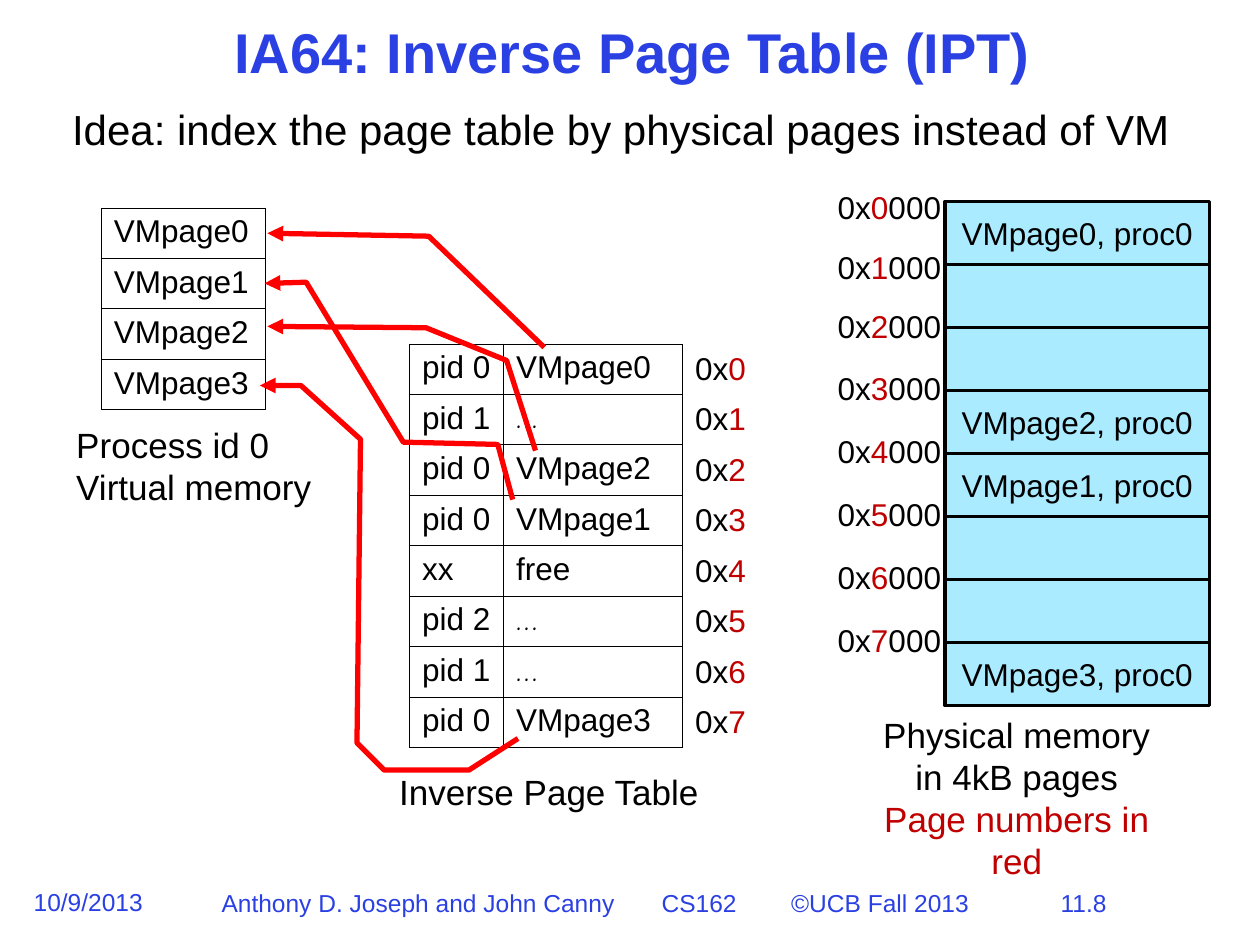
from pptx import Presentation
from pptx.dml.color import RGBColor
from pptx.enum.shapes import MSO_SHAPE
from pptx.enum.text import MSO_ANCHOR, MSO_AUTO_SIZE, PP_ALIGN
from pptx.oxml import parse_xml
from pptx.oxml.ns import nsdecls
from pptx.util import Pt

RECT = MSO_SHAPE.RECTANGLE
MIDDLE, TOP = MSO_ANCHOR.MIDDLE, MSO_ANCHOR.TOP
LEFT, CENTER = PP_ALIGN.LEFT, PP_ALIGN.CENTER
FIXED, GROW = MSO_AUTO_SIZE.NONE, MSO_AUTO_SIZE.SHAPE_TO_FIT_TEXT
BLACK, BLUE, DARK, RED, AQUA = "000000", "2A40E2", "C00000", "FF0000", "ABEBFF"


def color(code):
    return RGBColor.from_string(code)


def node(body):
    """Make one element of the drawing namespace from its tag and contents."""
    tag, rest = body.split(" ", 1)
    return parse_xml(f"<a:{tag} {nsdecls('a')} {rest}")


class Board:
    """The slide in hand and its style."""

    font = "Arial"

    def __init__(self, slide):
        self.slide = slide
        self.shapes = slide.shapes

    def style(self, para, size, code=BLACK, align=LEFT, bold=False, font=None):
        para.alignment = align
        for run in para.runs:
            run.font.name = font or self.font
            run.font.size = Pt(size)
            run.font.bold = bold
            run.font.color.rgb = color(code)

    def holder(self, index, text, box, size, code, align, anchor, bold=False):
        """Fill, move and format a placeholder of the layout."""
        shape = self.slide.placeholders[index]
        shape.left, shape.top, shape.width, shape.height = map(Pt, box)
        frame = shape.text_frame
        frame.text = text
        frame.auto_size = FIXED
        frame.vertical_anchor = anchor
        para = frame.paragraphs[0]
        props = para._p.get_or_add_pPr()
        props.set("marL", "0")
        props.set("indent", "0")
        props.append(node("buNone />"))
        para.line_spacing = 0.9
        para.space_before = Pt(0)
        self.style(para, size, code, align, bold)

    def label(self, lines, box, size, align=LEFT, tabs=()):
        """Text box; each line is a list of (text, color) parts."""
        frame = self.shapes.add_textbox(*map(Pt, box)).text_frame
        frame.word_wrap = bool(tabs)
        frame.auto_size = GROW
        for i, parts in enumerate(lines):
            para = frame.add_paragraph() if i else frame.paragraphs[0]
            if tabs:
                stops = "".join(f'<a:tab pos="{Pt(t)}" algn="l"/>' for t in tabs)
                para._p.get_or_add_pPr().append(node(f"tabLst >{stops}</a:tabLst>"))
            para.text = parts[0][0]
            for text, _ in parts[1:]:
                para.add_run().text = text
            self.style(para, size, align=align)
            if len(parts) == 1:
                self.style(para, size, parts[0][1], align)
            else:
                for run, (_, code) in zip(para.runs, parts):
                    run.font.color.rgb = color(code)

    def frame(self, text, box):
        """One page frame of physical memory."""
        shape = self.shapes.add_shape(RECT, *map(Pt, box))
        shape.shadow.inherit = False
        shape.fill.solid()
        shape.fill.fore_color.rgb = color(AQUA)
        shape.line.color.rgb = color(BLACK)
        shape.line.width = Pt(2)
        if text:
            shape.text_frame.text = text
            shape.text_frame.vertical_anchor = MIDDLE
            self.style(shape.text_frame.paragraphs[0], 18, align=CENTER)

    def table(self, rows, left, top, widths, step):
        size = (left, top, sum(widths), step * len(rows))
        grid = self.shapes.add_table(len(rows), len(widths), *map(Pt, size)).table
        grid.first_row = grid.horz_banding = False
        for col, width in zip(grid.columns, widths):
            col.width = Pt(width)
        for r, row in enumerate(rows):
            grid.rows[r].height = Pt(step)
            for c, text in enumerate(row):
                cell = grid.cell(r, c)
                cell.text = text
                font = "Comic Neue" if text == "…" else None
                self.style(cell.text_frame.paragraphs[0], 18, font=font)
                for side in "LRTB":
                    cell._tc.get_or_add_tcPr().append(node(
                        f'ln{side} w="{Pt(0.45)}"><a:solidFill><a:srgbClr val="{BLACK}"/>'
                        f"</a:solidFill></a:ln{side}>"))
                cell.fill.background()

    def arrow(self, points):
        """Bent line with its head at the last point."""
        spots = [(Pt(x), Pt(y)) for x, y in points]
        pen = self.shapes.build_freeform(*spots[0])
        pen.add_line_segments(spots[1:], close=False)
        shape = pen.convert_to_shape()
        shape.shadow.inherit = False
        shape.fill.background()
        shape.line.color.rgb = color(RED)
        shape.line.width = Pt(3)
        shape.line._get_or_add_ln().append(node('tailEnd type="triangle"/>'))


def main():
    deck = Presentation()
    deck.slide_width, deck.slide_height = Pt(720), Pt(540)
    board = Board(deck.slides.add_slide(deck.slide_layouts[1]))

    # Title and idea
    board.holder(0, "IA64: Inverse Page Table (IPT)", (126, 12, 471, 39),
                 32, BLUE, CENTER, MIDDLE, True)
    board.holder(1, "Idea: index the page table by physical pages instead of VM",
                 (34, 59, 666, 414), 24, BLACK, LEFT, TOP)

    # Footer
    board.label([[("10/9/2013", BLUE)]], (12.2, 503.3, 77, 24), 14)
    board.label([[("Anthony D. Joseph and John Canny\tCS162\t©UCB Fall 2013", BLUE)]],
                (119.5, 504, 450, 24), 14, tabs=(251.5, 325.5))
    board.label([[("11.8", BLUE)]], (599, 504, 98, 24), 14)

    # Physical memory
    held = {0: 0, 3: 2, 4: 1, 7: 3}
    tops = (103.7, 138.2, 172.1, 207.4, 243.4, 279.4, 315.4, 351.4)
    for i, top in enumerate(tops):
        text = f"VMpage{held[i]}, proc0" if i in held else ""
        board.frame(text, (540, 115.2 + 36 * i, 151.2, 36))
        board.label([[("0x", BLACK), (str(i), DARK), ("000", BLACK)]],
                    (471.6, top, 73.4, 29), 18)
    board.label([[("Physical memory\vin 4kB pages", BLACK)],
                 [("Page numbers in red", DARK)]],
                (481, 404, 200, 79), 20, CENTER)

    # Inverse page table
    rows = [("pid 0", "VMpage0"), ("pid 1", "…"), ("pid 0", "VMpage2"),
            ("pid 0", "VMpage1"), ("xx", "free"), ("pid 2", "…"),
            ("pid 1", "…"), ("pid 0", "VMpage3")]
    board.table(rows, 234, 196.5, (53.8, 102.2), 28.8)
    for i in range(len(rows)):
        board.label([[("0x", BLACK), (str(i), DARK)]],
                    (390.2, 195.8 + 28.85 * i, 43.2, 29), 18)
    board.label([[("Inverse Page Table", BLACK)]], (221, 437, 188, 31.5), 20)

    # Virtual memory
    board.table([(f"VMpage{i}",) for i in range(4)], 57.9, 118.8, (93.6,), 28.8)
    board.label([[("Process id 0", BLACK)], [("Virtual memory", BLACK)]],
                (36.5, 238.3, 149, 55.5), 20)

    # Arrows from table entries to virtual pages
    for points in (
        [(296, 422), (268, 440), (219.5, 440), (204, 424.5), (206, 251),
         (172, 220.3), (148.5, 220.3)],
        [(311, 198.5), (245, 135), (152.8, 133.3)],
        [(306, 257.5), (289.5, 206), (243.5, 187.3), (152.8, 186.5)],
        [(293, 285.5), (284.5, 254), (230.5, 252.7), (175, 161.3), (151.2, 162)],
    ):
        board.arrow(points)

    deck.save("out.pptx")


if __name__ == "__main__":
    main()
